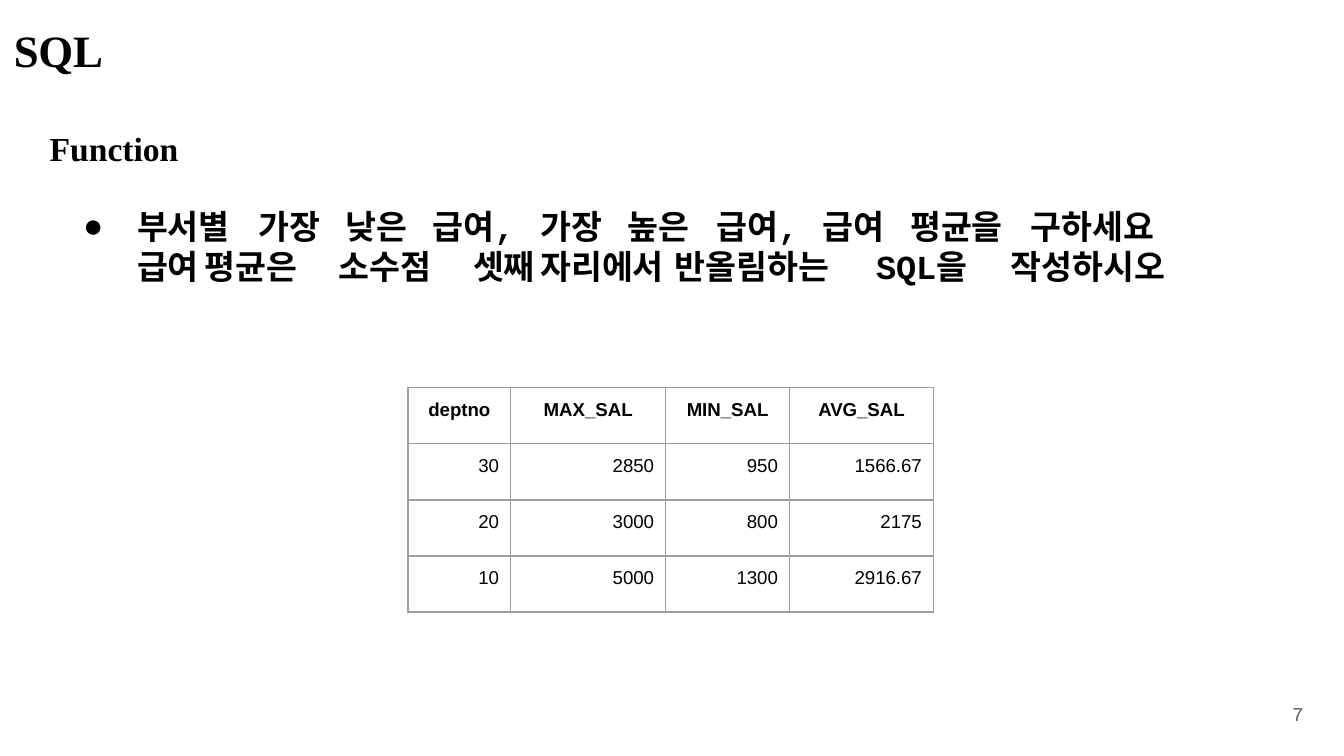
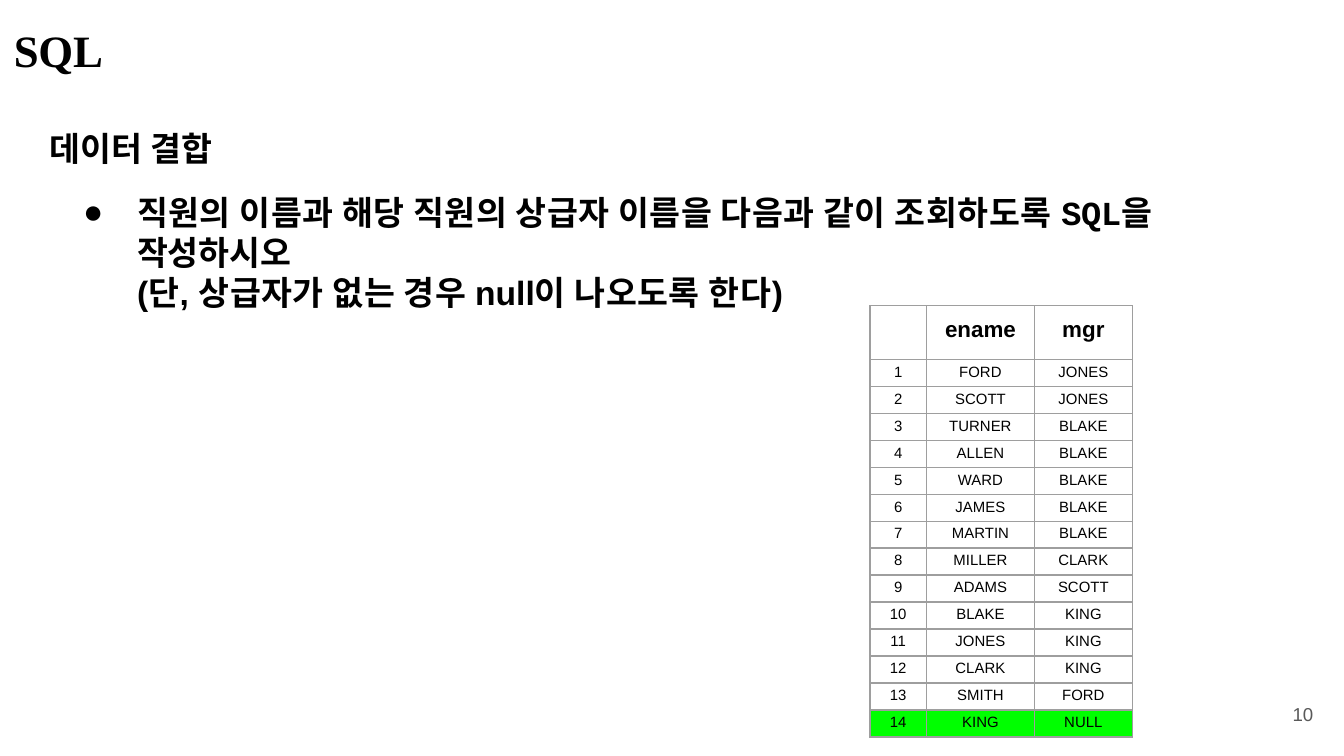
from pptx import Presentation
from pptx.dml.color import RGBColor
from pptx.enum.text import MSO_ANCHOR, MSO_AUTO_SIZE, PP_ALIGN
from pptx.oxml.ns import qn
from pptx.util import Cm, Pt
from lxml import etree

LEFT, CENTER, RIGHT = PP_ALIGN.LEFT, PP_ALIGN.CENTER, PP_ALIGN.RIGHT
TOP = MSO_ANCHOR.TOP
NO_FIT = MSO_AUTO_SIZE.NONE

COLORS = {"text": "000000", "number": "595959", "border": "9E9E9E", "highlight": "00FF00"}
SERIF, SANS, MONO, KOREAN = "Times New Roman", "Arial", "Courier New", "Noto Sans CJK KR"
BOX_LEFT = 0.23
HEADING_INDENT, LIST_INDENT, HANGING = 0.71, 2.36, -1.02
LINE_HEIGHT = Pt(21.5)

# Slide content: list lines hold a bullet flag, tab stops and (text, font, tracking) spans
SLIDES = [
    {
        "number": "7",
        "heading": ("Function", SERIF, 0),
        "gap": 20.3,
        "lines": [
            (True, [4.65, 6.3, 7.95, 9.98, 11.63, 13.31, 15.32, 16.97, 19.25], [
                ("부서별\t가장\t낮은\t급여", KOREAN, 0), (",\t", MONO, 0),
                ("가장\t높은\t급여", KOREAN, 0), (",\t", MONO, 0),
                ("급여\t평균을\t구하세요", KOREAN, 0)]),
            (False, [4.01, 6.3, 8.59, 10.26, 13.16, 16.71, 18.87], [
                ("급여\t평균은\t소수점\t셋째\t자리에서\t반올림하는\t", KOREAN, 0),
                ("SQL", MONO, -10), ("을\t작성하시오", KOREAN, 0)]),
        ],
        "table": {
            "left": 7.71, "top": 7.33, "columns": [1.94, 2.93, 2.34, 2.72],
            "header_height": 1.06, "row_height": 1.06,
            "header_size": 10, "size": 10, "align": RIGHT,
            "side_margin": 0.22, "top_margin": 0.22, "highlight": None,
            "rows": [
                ("deptno", "MAX_SAL", "MIN_SAL", "AVG_SAL"),
                ("30", "2850", "950", "1566.67"),
                ("20", "3000", "800", "2175"),
                ("10", "5000", "1300", "2916.67"),
            ],
        },
    },
    {
        "number": "10",
        "heading": ("데이터 결합", KOREAN, 0),
        "gap": 12.8,
        "lines": [
            (True, [], [
                ("직원의 이름과 해당 직원의 상급자 이름을 다음과 같이 조회하도록 ", KOREAN, 30),
                ("SQL", MONO, -10), ("을 작성하시오", KOREAN, 0)]),
            (False, [], [
                ("(", SANS, 10), ("단", KOREAN, 10), (", ", SANS, 10),
                ("상급자가 없는 경우 ", KOREAN, 30), ("null", SANS, 0),
                ("이 나오도록 한다", KOREAN, 30), (")", SANS, 20)]),
        ],
        "table": {
            "left": 16.44, "top": 5.78, "columns": [1.07, 2.04, 1.85],
            "header_height": 1.01, "row_height": 0.51,
            "header_size": 12, "size": 8, "align": CENTER,
            "side_margin": 0, "top_margin": 0.08, "highlight": 14,
            "rows": [
                ("", "ename", "mgr"),
                ("1", "FORD", "JONES"), ("2", "SCOTT", "JONES"),
                ("3", "TURNER", "BLAKE"), ("4", "ALLEN", "BLAKE"),
                ("5", "WARD", "BLAKE"), ("6", "JAMES", "BLAKE"),
                ("7", "MARTIN", "BLAKE"), ("8", "MILLER", "CLARK"),
                ("9", "ADAMS", "SCOTT"), ("10", "BLAKE", "KING"),
                ("11", "JONES", "KING"), ("12", "CLARK", "KING"),
                ("13", "SMITH", "FORD"), ("14", "KING", "NULL"),
            ],
        },
    },
]


def add_span(para, text, font, size, bold=True, color="text", tracking=0):
    span = para.add_run()
    span.text = text
    values = {"name": font, "size": Pt(size), "bold": bold}
    for name, value in values.items():
        setattr(span.font, name, value)
    span.font.color.rgb = RGBColor.from_string(COLORS[color])
    properties = span.font._element
    if font == KOREAN:
        etree.SubElement(properties, qn("a:ea"), typeface=font)
    if tracking:
        properties.set("spc", str(tracking))


def set_frame(box, left, top, width, height, wrap=True):
    place = {"left": left, "top": top, "width": width, "height": height}
    for name, value in place.items():
        setattr(box, name, Cm(value))
    frame = box.text_frame
    values = {"margin_left": 0, "margin_top": 0, "margin_right": 0, "margin_bottom": 0,
              "vertical_anchor": TOP, "auto_size": NO_FIT, "word_wrap": wrap}
    for name, value in values.items():
        setattr(frame, name, value)
    return frame


deck = Presentation()
deck.slide_width, deck.slide_height = Cm(25.4), Cm(14.29)
layout = deck.slide_layouts[1]

for content in SLIDES:
    page = deck.slides.add_slide(layout)

    # Title
    frame = set_frame(page.shapes.title, 0.26, 0.42, 22, 1.1)
    para = frame.paragraphs[0]
    para.alignment = LEFT
    add_span(para, "SQL", SERIF, 24, tracking=-10)

    # Heading and list
    frame = set_frame(page.placeholders[1], BOX_LEFT, 2.42, 22.9, 3.6)
    lines = [(False, [], [content["heading"]])] + content["lines"]
    for index, (bulleted, stops, spans) in enumerate(lines):
        para = frame.paragraphs[0] if index == 0 else frame.add_paragraph()
        para.alignment = LEFT
        para.line_spacing = LINE_HEIGHT
        para.space_before = Pt(content["gap"] if bulleted else 0)
        para.space_after = Pt(0)
        properties = para._p.get_or_add_pPr()
        properties.set("marL", str(Cm(LIST_INDENT if index else HEADING_INDENT)))
        properties.set("indent", str(Cm(HANGING if bulleted else 0)))
        if bulleted:
            etree.SubElement(properties, qn("a:buFont"), typeface=SANS)
            etree.SubElement(properties, qn("a:buChar"), char="●")
        else:
            etree.SubElement(properties, qn("a:buNone"))
        if stops:
            tabs = etree.SubElement(properties, qn("a:tabLst"))
            for stop in stops:
                etree.SubElement(tabs, qn("a:tab"), pos=str(Cm(stop)), algn="l")
        for text, font, tracking in spans:
            add_span(para, text, font, 18, tracking=tracking)

    # Table
    style = content["table"]
    rows, columns = style["rows"], style["columns"]
    heights = [style["header_height"]] + [style["row_height"]] * (len(rows) - 1)
    table = page.shapes.add_table(
        len(rows), len(columns), Cm(style["left"]), Cm(style["top"]),
        Cm(sum(columns)), Cm(sum(heights))).table
    table.first_row = table.horz_banding = False
    for column, width in zip(table.columns, columns):
        column.width = Cm(width)
    for row_index, texts in enumerate(rows):
        header = row_index == 0
        table.rows[row_index].height = Cm(heights[row_index])
        for column_index, text in enumerate(texts):
            cell = table.cell(row_index, column_index)
            values = {"margin_left": 0, "margin_bottom": 0, "vertical_anchor": TOP,
                      "margin_right": Cm(0 if header else style["side_margin"]),
                      "margin_top": Cm(0.22 if header else style["top_margin"])}
            for name, value in values.items():
                setattr(cell, name, value)
            para = cell.text_frame.paragraphs[0]
            para.alignment = CENTER if header else style["align"]
            if text:
                size = style["header_size"] if header else style["size"]
                add_span(para, text, SANS, size, bold=header)
            borders = cell._tc.get_or_add_tcPr()
            for side in ("a:lnL", "a:lnR", "a:lnT", "a:lnB"):
                line = etree.SubElement(borders, qn(side), w=str(Pt(0.75)))
                fill = etree.SubElement(line, qn("a:solidFill"))
                etree.SubElement(fill, qn("a:srgbClr"), val=COLORS["border"])
            if row_index == style["highlight"]:
                cell.fill.solid()
                cell.fill.fore_color.rgb = RGBColor.from_string(COLORS["highlight"])
            else:
                cell.fill.background()

    # Page number
    box = page.shapes.add_textbox(0, 0, 0, 0)
    frame = set_frame(box, 24.43, 13.28, 0.6, 0.46, wrap=False)
    add_span(frame.paragraphs[0], content["number"], SANS, 10, bold=False, color="number")

deck.save("out.pptx")
